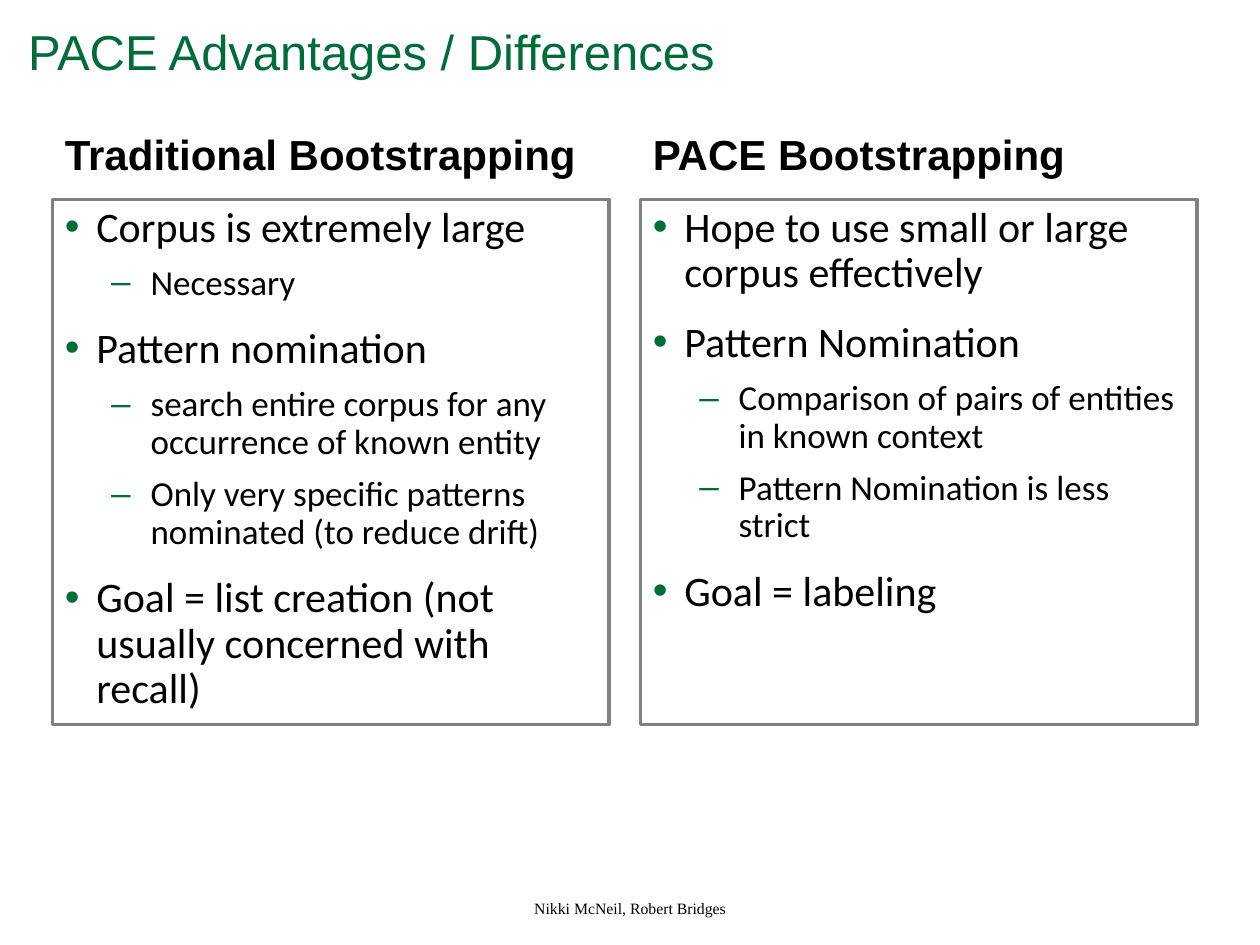
from lxml import etree
from pptx import Presentation
from pptx.dml.color import RGBColor
from pptx.enum.shapes import MSO_SHAPE
from pptx.enum.text import MSO_ANCHOR, PP_ALIGN
from pptx.oxml.ns import qn
from pptx.util import Pt

RECT = MSO_SHAPE.RECTANGLE
TOP, BOTTOM = MSO_ANCHOR.TOP, MSO_ANCHOR.BOTTOM
LEFT, CENTER = PP_ALIGN.LEFT, PP_ALIGN.CENTER

COLORS = {"green": "006C3A", "black": "000000", "gray": "808080", "white": "FFFFFF"}

# Per outline level: bullet, text size, space before, left margin, hanging indent
LEVELS = [("•", 24, 14, 18, 18), ("–", 20, 8, 49, 22.5)]

COLUMN_LEFT, COLUMN_WIDTH, COLUMN_STEP = 30, 318, 336
COLUMNS = [
    ("Traditional Bootstrapping", [
        (0, "Corpus is extremely large"),
        (1, "Necessary"),
        (0, "Pattern nomination"),
        (1, "search entire corpus for any occurrence of known entity"),
        (1, "Only very specific patterns nominated (to reduce drift)"),
        (0, "Goal = list creation (not usually concerned with recall)"),
    ]),
    ("PACE Bootstrapping", [
        (0, "Hope to use small or large corpus effectively"),
        (0, "Pattern Nomination"),
        (1, "Comparison of pairs of entities in known context"),
        (1, "Pattern Nomination is less strict"),
        (0, "Goal = labeling"),
    ]),
]


def rgb(name):
    return RGBColor.from_string(COLORS[name])


def add_run(p, text, size, font, color="black", bold=False):
    r = p.add_run()
    r.text = text
    r.font.size = Pt(size)
    r.font.name = font
    r.font.bold = bold
    r.font.color.rgb = rgb(color)


def add_label(slide, box, text, size, font, color="black", bold=False,
              align=LEFT, anchor=TOP, line_spacing=1.0):
    tf = slide.shapes.add_textbox(*map(Pt, box)).text_frame
    tf.word_wrap = True
    tf.vertical_anchor = anchor
    p = tf.paragraphs[0]
    p.alignment = align
    p.line_spacing = line_spacing
    add_run(p, text, size, font, color, bold)


def set_bullet(p, char, margin, hanging):
    pPr = p._p.get_or_add_pPr()
    pPr.set("marL", str(Pt(margin)))
    pPr.set("indent", str(-Pt(hanging)))
    clr = etree.SubElement(pPr, qn("a:buClr"))
    etree.SubElement(clr, qn("a:srgbClr"), val=COLORS["green"])
    etree.SubElement(pPr, qn("a:buFont"), typeface="Arial")
    etree.SubElement(pPr, qn("a:buChar"), char=char)


def add_bullet_box(slide, box, items):
    sp = slide.shapes.add_shape(RECT, *map(Pt, box))
    sp.shadow.inherit = False
    sp.fill.solid()
    sp.fill.fore_color.rgb = rgb("white")
    sp.line.color.rgb = rgb("gray")
    sp.line.width = Pt(2)
    tf = sp.text_frame
    tf.word_wrap = True
    tf.vertical_anchor = TOP
    for i, (level, text) in enumerate(items):
        char, size, before, margin, hanging = LEVELS[level]
        p = tf.add_paragraph() if i else tf.paragraphs[0]
        p.level = level
        p.alignment = LEFT
        p.line_spacing = 0.9
        p.space_before = Pt(before)
        set_bullet(p, char, margin, hanging)
        add_run(p, text, size, "Calibri")


def main():
    prs = Presentation()
    prs.slide_width, prs.slide_height = Pt(720), Pt(540)
    slide = prs.slides.add_slide(prs.slide_layouts[6])

    add_label(slide, (246, 510, 228, 14.4), "Nikki McNeil, Robert Bridges",
              9, "Times New Roman", align=CENTER)
    add_label(slide, (9, 13.7, 648, 36.7), "PACE Advantages / Differences",
              28, "Arial", "green", line_spacing=0.85)
    for i, (heading, items) in enumerate(COLUMNS):
        left = COLUMN_LEFT + i * COLUMN_STEP
        add_label(slide, (left, 72, COLUMN_WIDTH, 34), heading, 24, "Arial",
                  bold=True, anchor=BOTTOM, line_spacing=0.9)
        add_bullet_box(slide, (left, 114, COLUMN_WIDTH, 300), items)

    prs.save("out.pptx")


if __name__ == "__main__":
    main()
